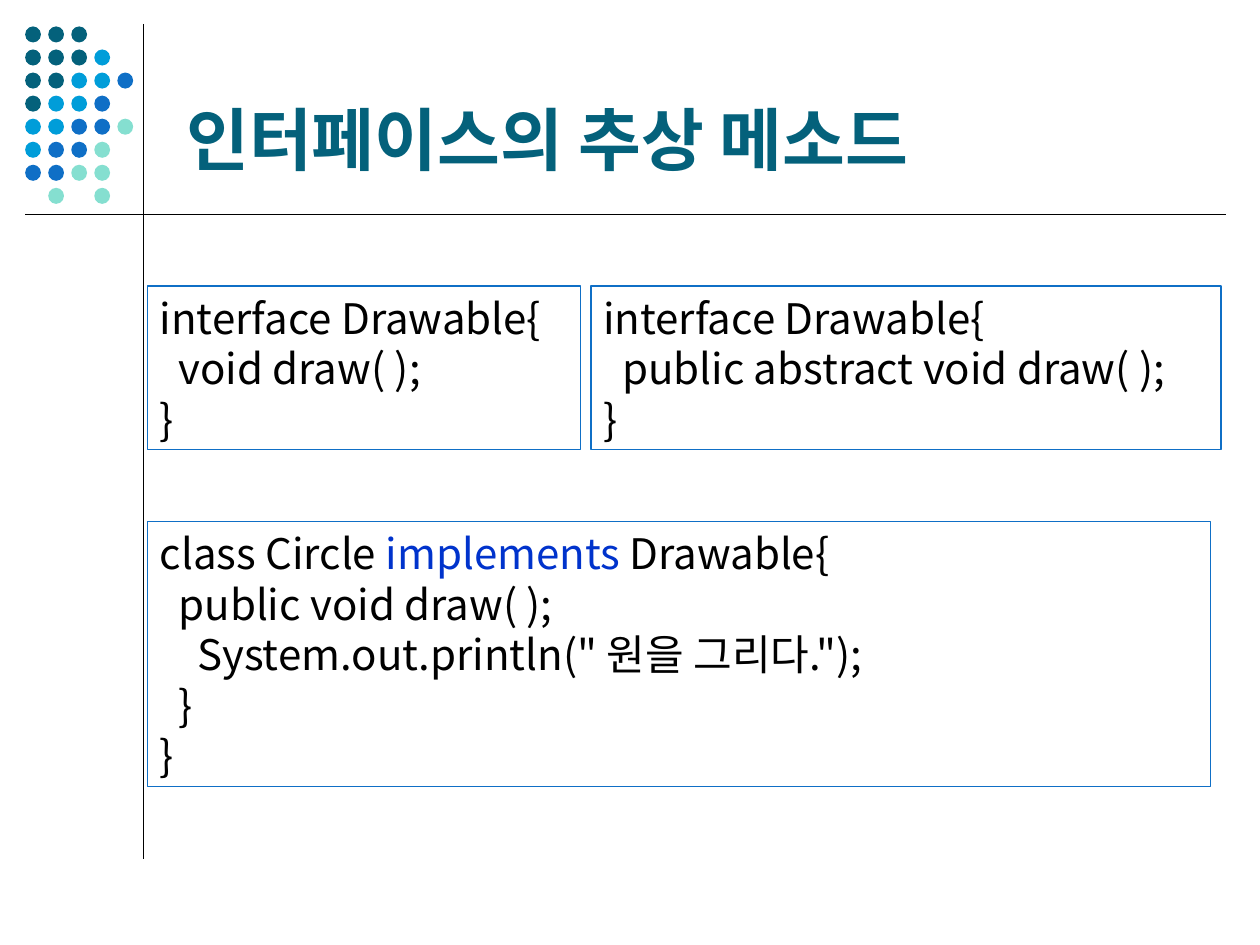
import pptx
import pptx.dml.color
import pptx.enum.shapes
import pptx.enum.text
import pptx.oxml
import pptx.oxml.ns
import pptx.util
from dataclasses import dataclass

WIDTH = pptx.util.Inches(10)
HEIGHT = pptx.util.Inches(7.5)


@dataclass(frozen=True)
class Theme:
    font: str = "Noto Sans CJK KR"
    title_size: float = 39
    code_size: float = 24
    code_leading: float = 28.8
    line_width: float = 0.75
    ink: str = "000000"
    keyword: str = "0033CC"
    teal: str = "04617B"
    sky: str = "009DD9"
    blue: str = "0F6FC6"
    mint: str = "85DFD0"


THEME = Theme()

# One letter per dot: Teal, Sky, Blue, Mint
DOT_ROWS = ["TTT", "TTTS", "TTSSB", "TSSB", "SSBBM", "SBBM", "BBMM", " M M"]
DOT_COLORS = {"T": THEME.teal, "S": THEME.sky, "B": THEME.blue, "M": THEME.mint}

SHORT_INTERFACE = """interface Drawable{
  void draw( );
}"""
FULL_INTERFACE = """interface Drawable{
  public abstract void draw( );
}"""
CIRCLE_CLASS = """class Circle implements Drawable{
  public void draw( );
    System.out.println(" 원을 그리다.");
  }
}"""


def across(percent):
    return round(WIDTH * percent / 100)


def down(percent):
    return round(HEIGHT * percent / 100)


def area(left, top, width, height):
    return across(left), down(top), across(width), down(height)


def rgb(color):
    return pptx.dml.color.RGBColor.from_string(color)


def style_span(span, size, color, bold=False):
    span.font.name = THEME.font
    span.font.size = pptx.util.Pt(size)
    span.font.bold = bold
    span.font.color.rgb = rgb(color)
    east_asian = pptx.oxml.parse_xml(
        f'<a:ea {pptx.oxml.ns.nsdecls("a")} typeface="{THEME.font}"/>')
    span.font._element.find(pptx.oxml.ns.qn("a:latin")).addnext(east_asian)


def add_rule(page, start, end):
    rule = page.shapes.add_connector(
        pptx.enum.shapes.MSO_CONNECTOR.STRAIGHT,
        across(start[0]), down(start[1]), across(end[0]), down(end[1]))
    rule.line.color.rgb = rgb(THEME.ink)
    rule.line.width = pptx.util.Pt(THEME.line_width)
    rule._element.spPr.append(
        pptx.oxml.parse_xml(f'<a:effectLst {pptx.oxml.ns.nsdecls("a")}/>'))


def add_dots(page):
    for row, letters in enumerate(DOT_ROWS):
        for column, letter in enumerate(letters):
            if letter == " ":
                continue
            dot = page.shapes.add_shape(
                pptx.enum.shapes.MSO_SHAPE.OVAL,
                *area(2 + 1.83 * column, 2.8 + 2.44 * row, 1.25, 1.7))
            dot.shadow.inherit = False
            dot.fill.solid()
            dot.fill.fore_color.rgb = rgb(DOT_COLORS[letter])
            dot.line.fill.background()


def add_title(page, text):
    box = page.shapes.add_textbox(*area(13.8, 2.8, 82.5, 16.8))
    frame = box.text_frame
    frame.word_wrap = True
    frame.vertical_anchor = pptx.enum.text.MSO_ANCHOR.BOTTOM
    frame.text = text
    style_span(frame.paragraphs[0].runs[0], THEME.title_size, THEME.teal, True)


def add_code(page, code, place, keyword=None):
    box = page.shapes.add_shape(
        pptx.enum.shapes.MSO_SHAPE.RECTANGLE, *area(*place))
    box.shadow.inherit = False
    box.fill.background()
    box.line.color.rgb = rgb(THEME.blue)
    box.line.width = pptx.util.Pt(THEME.line_width)
    frame = box.text_frame
    frame.word_wrap = True
    frame.auto_size = pptx.enum.text.MSO_AUTO_SIZE.SHAPE_TO_FIT_TEXT
    frame.vertical_anchor = pptx.enum.text.MSO_ANCHOR.TOP
    frame.text = code
    for para in frame.paragraphs:
        para.alignment = pptx.enum.text.PP_ALIGN.LEFT
        para.line_spacing = pptx.util.Pt(THEME.code_leading)
        if keyword and keyword in para.text:
            before, word, after = para.text.partition(keyword)
            para.text = before
            for part in (word, after):
                para.add_run().text = part
        for span in para.runs:
            color = THEME.keyword if span.text == keyword else THEME.ink
            style_span(span, THEME.code_size, color)


def main():
    deck = pptx.Presentation()
    deck.slide_width, deck.slide_height = WIDTH, HEIGHT
    page = deck.slides.add_slide(deck.slide_layouts[6])

    # Frame rules and dot ornament
    add_rule(page, (11.4, 2.53), (11.4, 90.93))
    add_dots(page)
    add_rule(page, (2, 22.67), (97.3, 22.67))

    # Title and code boxes
    add_title(page, "인터페이스의 추상 메소드")
    add_code(page, SHORT_INTERFACE, (11.7, 30.27, 34.4, 17.33))
    add_code(page, FULL_INTERFACE, (46.9, 30.27, 50, 17.33))
    add_code(page, CIRCLE_CLASS, (11.7, 55.2, 84.4, 28), "implements")

    deck.save("out.pptx")


if __name__ == "__main__":
    main()
